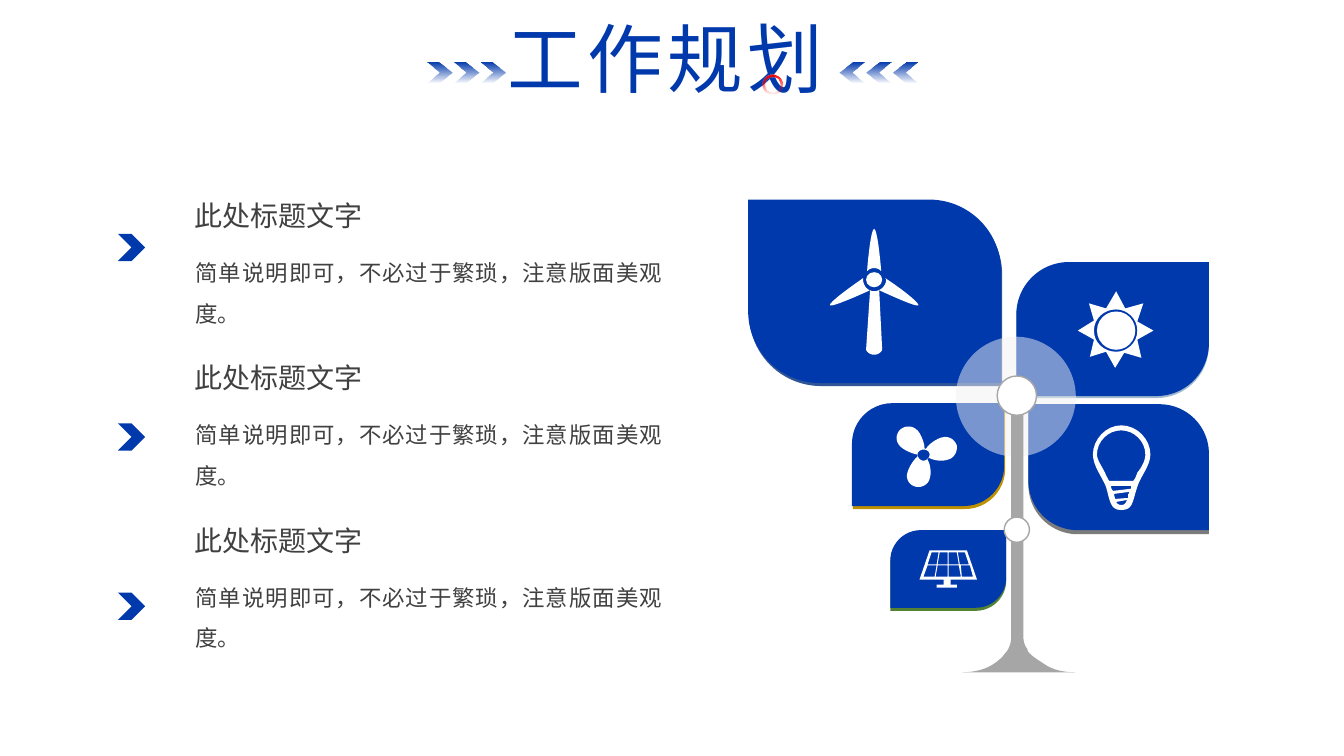
"""Build the work-plan slide with a wind-tree of clean-energy leaves."""
from dataclasses import dataclass
from itertools import pairwise

from lxml.etree import SubElement
from pptx import Presentation
from pptx.dml.color import RGBColor
from pptx.enum.shapes import MSO_SHAPE as Preset
from pptx.enum.text import MSO_ANCHOR as Anchor, MSO_AUTO_SIZE as AutoSize, PP_ALIGN as Align
from pptx.oxml.ns import qn
from pptx.shapes.autoshape import Shape
from pptx.slide import Slide
from pptx.util import Pt

PX = 9144
ROUNDING = 0.392
CURVE_STEPS = 8
COLORS = {
    "blue": "0039AC", "red": "FF0000", "white": "FFFFFF", "halo": "F2F2F2",
    "pole": "A6A6A6", "text": "404040", "fan": "BF9000", "lamp": "7C7C7C",
    "sun": "9FB8CD", "turbine": "2F5597", "panel": "548235",
}
HEADING = "此处标题文字"
DETAIL = "简单说明即可，不必过于繁琐，注意版面美观度。"


@dataclass(frozen=True)
class Box:
    left: int
    top: int
    width: int
    height: int

    def emu(self) -> tuple[int, int, int, int]:
        return self.left * PX, self.top * PX, self.width * PX, self.height * PX


@dataclass(frozen=True)
class Leaf:
    box: Box
    edge: str
    rounds_top_left: bool
    shift_x: int
    shift_y: int


@dataclass(frozen=True)
class Ring:
    box: Box
    outlined: bool


LEAVES = [
    Leaf(Box(845, 400, 151, 102), "fan", True, 1, 3),
    Leaf(Box(1020, 401, 179, 125), "lamp", False, 0, 4),
    Leaf(Box(1008, 260, 191, 133), "sun", True, 0, 2),
    Leaf(Box(742, 198, 251, 182), "turbine", False, 1, 3),
    Leaf(Box(883, 526, 115, 77), "panel", True, 0, 3),
]
RINGS = [
    Ring(Box(989, 373, 39, 39), True),
    Ring(Box(996, 513, 25, 25), True),
    Ring(Box(859, 270, 16, 15), False),
    Ring(Box(1088, 309, 38, 38), False),
]
CHEVRON_TOPS = [232, 420, 588]

POLE = """M 1015,393 L 1015,631 C 1015,636 1016,640 1019,644 1019,646 1020,647 1021,648
 1025,652 1030,655 1036,659 1045,665 1055,667 1067,667 L 954,667
 C 967,667 979,664 988,657 992,654 995,651 997,648 998,647 999,646 1000,644
 1002,640 1003,636 1003,631 L 1003,393"""
TURBINE_BLADE = """M 874,269 C 873,256 870,227 867,227 864,227 861,256 860,269
 862,267 864,266 867,266 870,266 872,267 874,269"""
TURBINE_BODY = """M 878,276 C 879,276 879,277 879,277 879,284 873,289 867,289
 861,289 856,284 856,277 856,277 856,276 856,276 846,283 822,300 823,303
 825,305 852,293 863,288 L 859,347 C 859,347 861,352 867,352 873,352 875,347 875,347
 L 872,288 C 883,293 909,305 911,303 912,300 889,283 878,276"""
SUN_RAYS = """M 1081,354 L 1097,349 1106,365 1115,350 1132,355 1128,337 1144,328 1128,319
 1134,301 1116,306 1107,289 1097,306 1080,301 1085,318 1069,328 1085,337
 M 1107,307 C 1118,307 1128,316 1128,328 1128,340 1118,349 1107,349
 1095,349 1085,340 1085,328 1085,316 1095,307 1107,307"""
FAN = """M 949,442 C 947,436 941,432 934,434 930,435 921,440 918,446 918,445 918,445 917,445
 917,439 913,430 910,427 905,422 898,422 893,426 888,431 888,438 893,443
 896,446 904,450 910,451 910,452 910,452 910,453 905,457 901,465 900,469
 898,475 902,482 909,483 915,484 921,480 922,475 924,470 923,461 920,456
 920,455 921,455 921,454 926,457 935,458 940,456 946,455 950,448 949,442
 M 916,457 C 913,457 910,454 910,451 910,448 913,446 916,446
 919,446 922,448 922,451 922,454 919,457 916,457"""
LAMP = """M 1112,422 C 1097,422 1084,436 1084,451 1084,462 1093,473 1097,483
 1101,497 1101,506 1112,506 1124,506 1123,498 1128,483 1131,473 1141,462 1141,451
 1141,436 1128,422 1112,422
 M 1119,494 L 1106,495 C 1106,494 1105,492 1105,490 L 1120,488
 C 1120,489 1120,490 1119,490 1119,491 1119,493 1119,494
 M 1104,487 C 1103,486 1102,485 1102,482 L 1122,482 C 1122,484 1122,485 1121,485
 M 1112,501 C 1110,501 1108,500 1107,498 L 1118,496 C 1116,500 1115,501 1112,501
 M 1124,477 L 1100,477 C 1099,475 1097,472 1096,469 1093,463 1088,456 1088,451
 1088,438 1099,427 1112,427 1125,427 1136,438 1136,451 1136,456 1133,463 1128,469
 1127,472 1126,475 1124,477"""
PANEL = """M 943,575 L 969,575 959,546 922,546 912,575 936,575 936,580 929,580 929,583
 949,583 949,580 943,580
 M 941,560 L 941,548 949,548 951,560 M 951,561 L 953,572 941,572 941,561
 M 940,560 L 930,560 932,548 940,548 M 940,561 L 940,572 928,572 930,561
 M 954,572 L 953,561 962,561 965,572 M 961,560 L 952,560 950,548 957,548
 M 924,548 L 931,548 929,560 920,560 M 920,561 L 929,561 927,572 916,572"""
ICONS = [TURBINE_BLADE, TURBINE_BODY, SUN_RAYS, FAN, LAMP, PANEL]

Point = tuple[float, float]


def rgb(name: str) -> RGBColor:
    return RGBColor.from_string(COLORS[name])


def paint(shape: Shape, color: str) -> Shape:
    shape.shadow.inherit = False
    shape.fill.solid()
    shape.fill.fore_color.rgb = rgb(color)
    shape.line.fill.background()
    return shape


def set_alpha(shape: Shape, percent: int) -> None:
    color = shape._element.spPr.findall(".//" + qn("a:srgbClr"))[-1]
    SubElement(color, qn("a:alpha"), val=str(percent * 1000))


def fade_down(shape: Shape, color: str) -> None:
    shape.fill.gradient()
    shape.fill.gradient_angle = 270
    for stop in shape.fill.gradient_stops:
        stop.color.rgb = rgb(color)
    set_alpha(shape, 0)


def add_preset(slide: Slide, preset: Preset, box: Box, color: str) -> Shape:
    return paint(slide.shapes.add_shape(preset, *box.emu()), color)


def bezier(a: Point, b: Point, c: Point, d: Point) -> list[Point]:
    points = []
    for step in range(1, CURVE_STEPS + 1):
        t = step / CURVE_STEPS
        weights = ((1 - t) ** 3, 3 * t * (1 - t) ** 2, 3 * t * t * (1 - t), t ** 3)
        points.append(tuple(sum(w * p[axis] for w, p in zip(weights, (a, b, c, d)))
                            for axis in (0, 1)))
    return points


def trace(outline: str) -> list[list[Point]]:
    contours, command, controls = [], "M", []
    for token in outline.split():
        if token.isalpha():
            command = token
            continue
        x, y = token.split(",")
        point = (int(x), int(y))
        if command == "M":
            contours.append([point])
        elif command == "L":
            contours[-1].append(point)
        else:
            controls.append(point)
            if len(controls) == 3:
                contours[-1].extend(bezier(contours[-1][-1], *controls))
                controls = []
    return contours


def add_outline(slide: Slide, contours: list[list[Point]], color: str) -> Shape:
    scaled = [[(round(x * PX), round(y * PX)) for x, y in contour] for contour in contours]
    builder = slide.shapes.build_freeform(*scaled[0][0], scale=1.0)
    builder.add_line_segments(scaled[0][1:], close=True)
    for _, contour in pairwise(scaled):
        builder.move_to(*contour[0])
        builder.add_line_segments(contour[1:], close=True)
    return paint(builder.convert_to_shape(), color)


def add_title(slide: Slide) -> None:
    title = slide.shapes.title
    title.left, title.top, title.width, title.height = Box(490, 6, 340, 101).emu()
    frame = title.text_frame
    frame.text = "工作规划"
    frame.word_wrap = False
    frame.auto_size = AutoSize.NONE
    frame.vertical_anchor = Anchor.MIDDLE
    paragraph = frame.paragraphs[0]
    paragraph.alignment = Align.CENTER
    paragraph.font.size = Pt(54)
    paragraph.font.color.rgb = rgb("blue")
    paragraph.font.name = "Noto Sans CJK SC"
    properties = paragraph.runs[0]._r.get_or_add_rPr()
    properties.set("spc", "300")
    SubElement(properties, qn("a:ea"), typeface="Noto Sans CJK SC")


def add_title_arrows(slide: Slide, tip: int, direction: int) -> None:
    profile = [(-25, 62), (-13, 62), (0, 72), (-13, 82), (-25, 82), (-13, 72)]
    contours = [[(tip + direction * (x - 26 * index), y) for x, y in profile]
                for index in range(3)]
    fade_down(add_outline(slide, contours, "blue"), "blue")


def add_leaf(slide: Slide, leaf: Leaf) -> None:
    box = leaf.box
    edge = Box(box.left + leaf.shift_x, box.top + leaf.shift_y, box.width, box.height)
    for part, color in ((edge, leaf.edge), (box, "blue")):
        shape = add_preset(slide, Preset.ROUND_2_DIAG_RECTANGLE, part, color)
        shape.adjustments[0] = ROUNDING if leaf.rounds_top_left else 0
        shape.adjustments[1] = 0 if leaf.rounds_top_left else ROUNDING


def add_ring(slide: Slide, ring: Ring) -> None:
    shape = add_preset(slide, Preset.OVAL, ring.box, "white")
    if ring.outlined:
        shape.line.color.rgb = rgb("pole")
        shape.line.width = Pt(1)


def add_text(slide: Slide, box: Box, text: str, size: int, spacing: float, wrap: bool) -> None:
    frame = slide.shapes.add_textbox(*box.emu()).text_frame
    frame.margin_left = frame.margin_right = frame.margin_top = frame.margin_bottom = 0
    frame.word_wrap = wrap
    frame.text = text
    paragraph = frame.paragraphs[0]
    paragraph.alignment = Align.JUSTIFY
    paragraph.line_spacing = spacing
    paragraph.font.size = Pt(size)
    paragraph.font.name = "Arial"
    paragraph.font.color.rgb = rgb("text")


def main() -> None:
    presentation = Presentation()
    presentation.slide_width, presentation.slide_height = 1333 * PX, 750 * PX
    slide = presentation.slides.add_slide(presentation.slide_layouts[5])
    add_title(slide)
    donut = add_preset(slide, Preset.DONUT, Box(756, 74, 20, 20), "red")
    donut.adjustments[0] = 0.13
    fade_down(donut, "red")
    add_title_arrows(slide, 501, 1)
    add_title_arrows(slide, 833, -1)
    for leaf in LEAVES:
        add_leaf(slide, leaf)
    set_alpha(add_preset(slide, Preset.OVAL, Box(948, 334, 119, 119), "halo"), 50)
    add_outline(slide, trace(POLE), "pole")
    for icon in ICONS:
        add_outline(slide, trace(icon), "white")
    for ring in RINGS:
        add_ring(slide, ring)
    for index, chevron_top in enumerate(CHEVRON_TOPS):
        top = 197 + 161 * index
        add_text(slide, Box(193, top, 168, 34), HEADING, 20, 1.0, False)
        add_text(slide, Box(194, top + 47, 463, 76), DETAIL, 16, 1.5, True)
        add_preset(slide, Preset.CHEVRON, Box(117, chevron_top, 27, 27), "blue")
    presentation.save("out.pptx")


if __name__ == "__main__":
    main()
